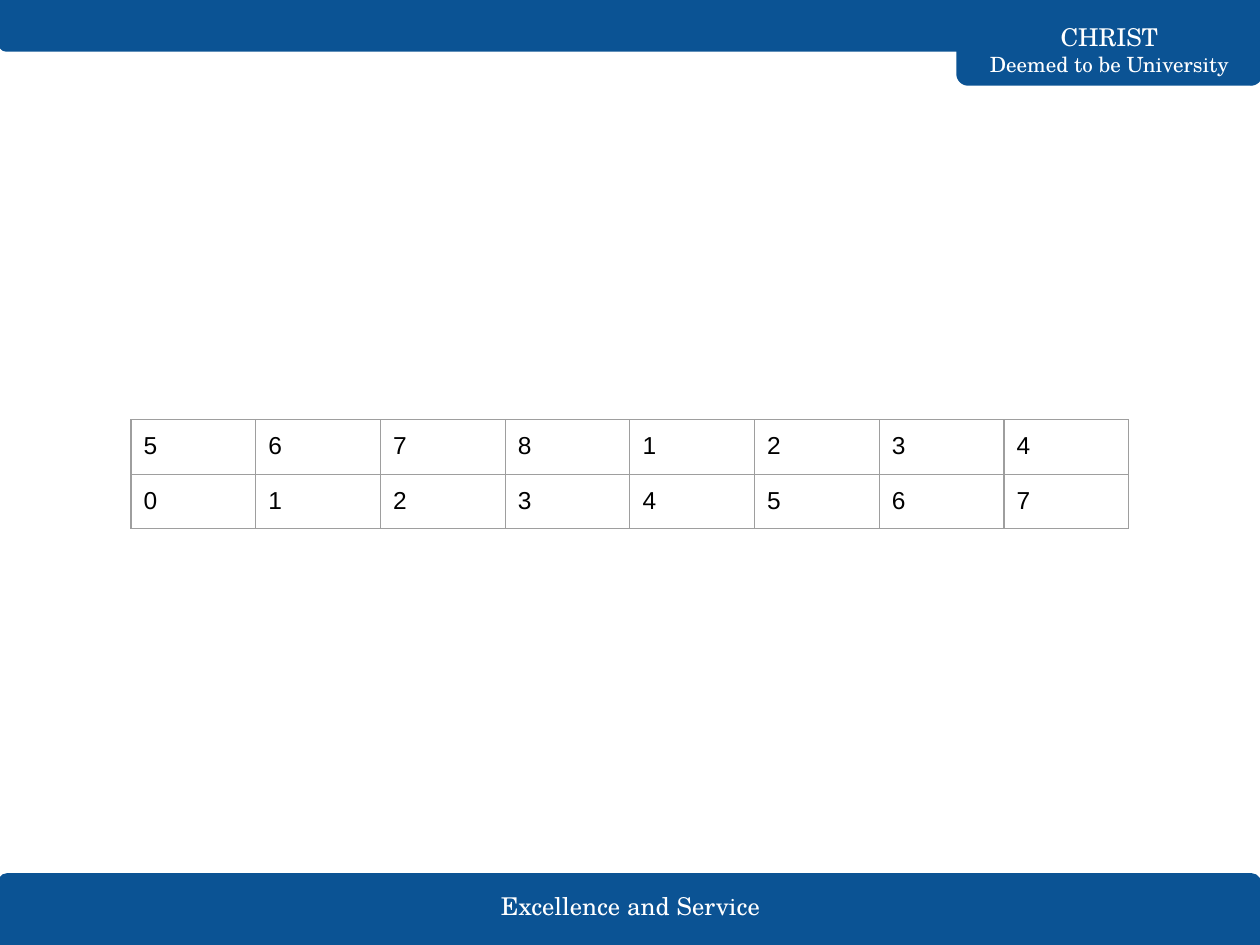
import pptx
import pptx.util
import pptx.dml.color
import pptx.enum.shapes
import pptx.enum.text
import pptx.oxml
import pptx.oxml.ns
from pptx.util import Inches

BLUE = pptx.dml.color.RGBColor(0x0B, 0x53, 0x94)
WHITE = pptx.dml.color.RGBColor(0xFF, 0xFF, 0xFF)
BLACK = pptx.dml.color.RGBColor(0, 0, 0)
GREY = pptx.dml.color.RGBColor(0x9E, 0x9E, 0x9E)
SERIF = "TeX Gyre Schola"


def add_run(para, text, size, face, color):
    run = para.add_run()
    run.text = text
    run.font.size = pptx.util.Pt(size)
    run.font.name = face
    run.font.color.rgb = color


deck = pptx.Presentation()
deck.slide_width = Inches(10)
deck.slide_height = Inches(7.5)
slide = deck.slides.add_slide(deck.slide_layouts[6])

bars = [
    (-0.01, 6.94, 10.01, 0.56, 0),
    (7.6, 0, 2.41, 0.67, 180),
    (0, 0, 10.01, 0.4, 180),
]
for left, top, width, height, turn in bars:
    bar = slide.shapes.add_shape(
        pptx.enum.shapes.MSO_SHAPE.ROUND_2_SAME_RECTANGLE,
        Inches(left), Inches(top), Inches(width), Inches(height))
    bar.adjustments[0] = 0.125
    bar.adjustments[1] = 0
    bar.rotation = turn
    bar.shadow.inherit = False
    bar.fill.solid()
    bar.fill.fore_color.rgb = BLUE
    bar.line.color.rgb = BLUE
    bar.line.width = pptx.util.Pt(1.5)

labels = [
    (3.66, 7.03, 2.69, 0.32, [("Excellence and Service", 14)]),
    (7.6, 0.27, 2.41, 0.25, [("CHRIST", 14), ("Deemed to be University", 12)]),
]
for left, top, width, height, lines in labels:
    box = slide.shapes.add_textbox(
        Inches(left), Inches(top), Inches(width), Inches(height))
    frame = box.text_frame
    frame.word_wrap = True
    frame.vertical_anchor = pptx.enum.text.MSO_ANCHOR.MIDDLE
    frame.margin_left = frame.margin_right = Inches(0.1)
    frame.margin_top = frame.margin_bottom = Inches(0.1)
    para = frame.paragraphs[0]
    para.alignment = pptx.enum.text.PP_ALIGN.CENTER
    for place, (text, size) in enumerate(lines):
        if place:
            para.add_line_break()
        add_run(para, text, size, SERIF, WHITE)

rows = [[5, 6, 7, 8, 1, 2, 3, 4], range(8)]
table = slide.shapes.add_table(
    2, 8, Inches(1.04), Inches(3.33), Inches(8 * 0.99), Inches(2 * 0.42)).table
table.first_row = False
table.horz_banding = False
for row, values in enumerate(rows):
    for col, value in enumerate(values):
        cell = table.cell(row, col)
        cell.margin_left = cell.margin_right = Inches(0.1)
        cell.margin_top = cell.margin_bottom = Inches(0.1)
        add_run(cell.text_frame.paragraphs[0], str(value), 14, "Arial", BLACK)
        props = cell._tc.get_or_add_tcPr()
        for side in ("lnL", "lnR", "lnT", "lnB"):
            props.append(pptx.oxml.parse_xml(
                f'<a:{side} {pptx.oxml.ns.nsdecls("a")} w="9525"><a:solidFill>'
                f'<a:srgbClr val="{GREY}"/></a:solidFill></a:{side}>'))
        cell.fill.background()

deck.save("out.pptx")
